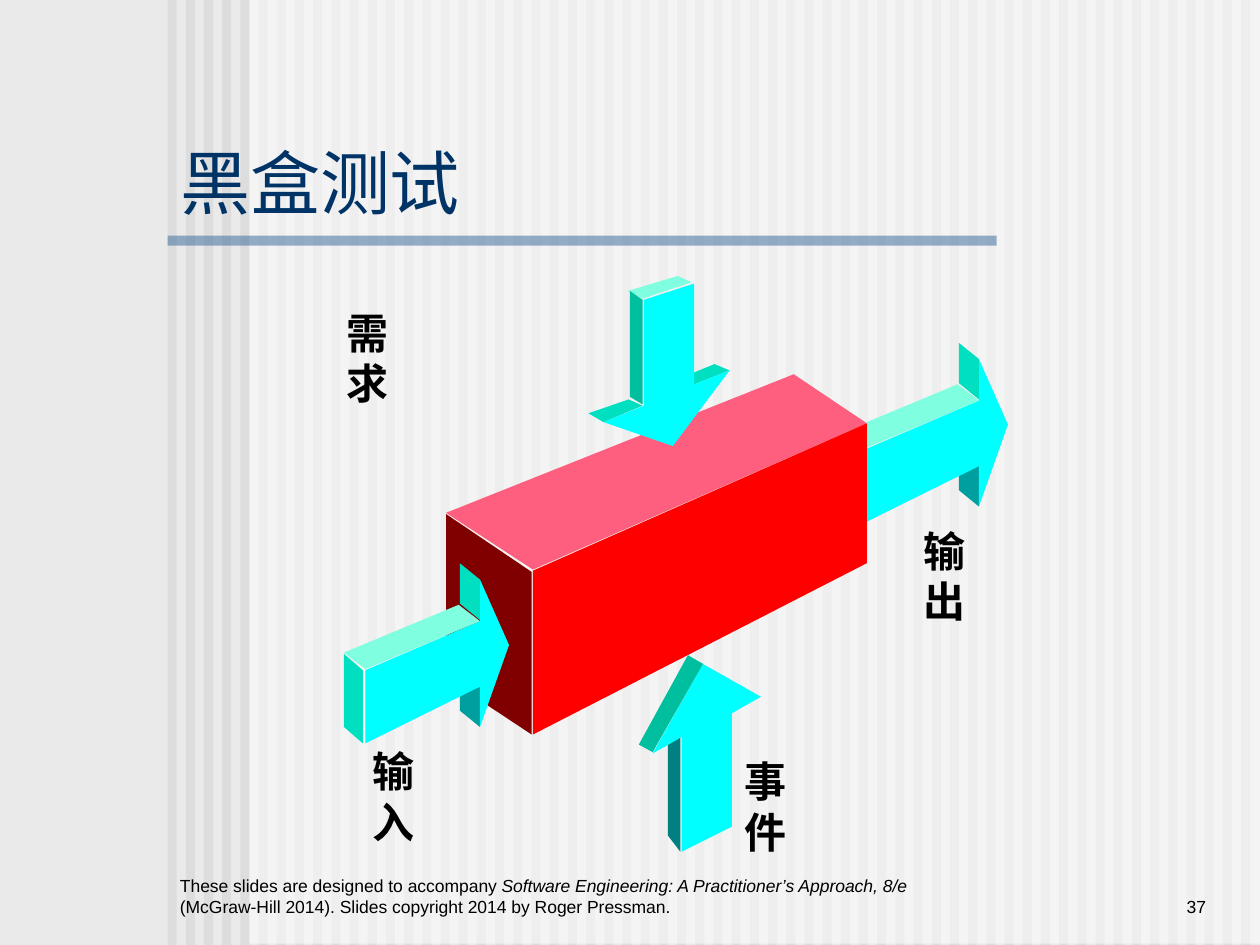
from pptx import Presentation
from pptx.dml.color import RGBColor as RGB
from pptx.enum.shapes import MSO_SHAPE as Shape
from pptx.enum.text import MSO_ANCHOR as Anchor, MSO_AUTO_SIZE as Fit, PP_ALIGN as Align
from pptx.oxml.ns import qn
from pptx.util import Inches, Pt
from lxml.etree import SubElement

UNIT = Inches(0.01)  # the grid: 1000 columns by 750 rows
COLS, ROWS = 1000, 750
FONT = "Arial"

PAPER, STRIPE = RGB(0xEA, 0xEA, 0xEA), RGB(0xDD, 0xDD, 0xDD)
WHITE, BLACK = RGB(0xFF, 0xFF, 0xFF), RGB(0, 0, 0)
NAVY, BLUE = RGB(0, 0x33, 0x66), RGB(0x33, 0x66, 0x99)
CYAN, PALE, MINT = RGB(0, 0xFF, 0xFF), RGB(0x7F, 0xFF, 0xDF), RGB(0, 0xDF, 0xBF)
GREEN, TEAL, DEEP = RGB(0, 0xBF, 0x9F), RGB(0, 0x9F, 0x9F), RGB(0, 0x80, 0x80)
RED, PINK, MAROON = RGB(0xFF, 0, 0), RGB(0xFF, 0x5F, 0x7F), RGB(0x80, 0, 0)

# Faces of each solid, back to front, as corner points on the grid
SIDE = [
    (TEAL, [(777, 402), (777, 370), (761, 357), (761, 389)]),
    (CYAN, [(777, 318), (686, 357), (686, 415), (777, 370), (777, 402),
            (800, 337), (777, 285)]),
    (MINT, [(684, 357), (684, 415), (669, 402), (669, 344)]),
    (PALE, [(669, 343), (686, 356), (777, 318), (760, 305)]),
    (MINT, [(777, 285), (761, 272), (761, 304), (777, 317)]),
]
UP = [
    (DEEP, [(540, 676), (540, 586), (530, 579), (530, 663)]),
    (CYAN, [(558, 527), (604, 553), (581, 566), (581, 656), (541, 676),
            (541, 585), (518, 598)]),
    (GREEN, [(518, 597), (507, 591), (546, 520), (558, 527)]),
]
BOX = [
    (MAROON, [(354, 408), (422, 454), (422, 583), (354, 538)]),
    (PINK, [(354, 407), (423, 452), (688, 336), (630, 297)]),
    (RED, [(423, 453), (423, 583), (688, 447), (688, 336)]),
]
DOWN = [
    (PALE, [(498, 231), (510, 237), (549, 224), (538, 219)]),
    (MINT, [(551, 305), (579, 294), (567, 289), (540, 300)]),
    (CYAN, [(511, 238), (551, 225), (551, 305), (579, 294), (534, 354),
            (479, 335), (511, 322)]),
    (MINT, [(479, 335), (467, 328), (499, 317), (510, 322)]),
    (GREEN, [(500, 315), (510, 321), (510, 238), (500, 231)]),
]
LABELS = [("需求", 265, 239), ("事件", 581, 595), ("输入", 286, 587), ("输出", 723, 412)]


def paint(shape, color, alpha=None):
    shape.shadow.inherit = False
    shape.line.fill.background()
    shape.fill.solid()
    shape.fill.fore_color.rgb = color
    if alpha:
        tone = shape.fill._xPr.find(qn("a:solidFill"))[0]
        SubElement(tone, qn("a:alpha"), val=str(alpha * 1000))


def bar(slide, x, y, w, h, color, alpha=None):
    box = [round(v * UNIT) for v in (x, y, w, h)]
    paint(slide.shapes.add_shape(Shape.RECTANGLE, *box), color, alpha)


def solid(slide, faces, dx=0, dy=0):
    for color, points in faces:
        first, *rest = [(x + dx, y + dy) for x, y in points]
        pen = slide.shapes.build_freeform(*first, scale=UNIT)
        pen.add_line_segments(rest, close=True)
        paint(pen.convert_to_shape(), color)


def style(par, size, color, bold=False, align=Align.LEFT):
    par.alignment = align
    font = par.font
    font.name, font.size, font.bold = FONT, Pt(size), bold
    font.color.rgb = color


def text(slide, x, y, w, h, parts, size, anchor=Anchor.TOP, wrap=True, **look):
    """Write parts in turn, every second one in italics."""
    box = slide.shapes.add_textbox(x * UNIT, y * UNIT, w * UNIT, h * UNIT)
    frame = box.text_frame
    frame.word_wrap, frame.vertical_anchor = wrap, anchor
    par = frame.paragraphs[0]
    for i, part in enumerate(parts):
        run = par.add_run()
        run.text = part
        if i % 2:
            run.font.italic = True
    style(par, size, BLACK, **look)


def backdrop(slide):
    slide.background.fill.solid()
    slide.background.fill.fore_color.rgb = PAPER
    count, first, last = 60, 133, 985
    step = (last - first) / (count - 1)
    for i in range(count):
        bar(slide, first + i * step, 0, step / 2, ROWS, STRIPE)
    bar(slide, 198, -1, COLS - 198, ROWS, WHITE, 50)
    bar(slide, 133, 187, 658, 8, BLUE, 50)


def heading(slide, words):
    title = slide.shapes.title
    title.left, title.top = 133 * UNIT, 117 * UNIT
    title.width, title.height = 568 * UNIT, 54 * UNIT
    frame = title.text_frame
    frame.text = words
    frame.auto_size, frame.vertical_anchor = Fit.NONE, Anchor.MIDDLE
    style(frame.paragraphs[0], 40, NAVY)
    slide.shapes._spTree.append(title._element)  # in front of the backdrop


def main():
    deck = Presentation()
    deck.slide_width, deck.slide_height = COLS * UNIT, ROWS * UNIT
    slide = deck.slides.add_slide(deck.slide_layouts[5])
    backdrop(slide)
    heading(slide, "黑盒测试")

    # Footer and page number
    text(slide, 133, 683, 600, 50,
         ["These slides are designed to accompany ",
          "Software Engineering: A Practitioner’s Approach, 8/e ",
          "(McGraw-Hill 2014). Slides copyright 2014 by Roger Pressman."],
         10, Anchor.BOTTOM)
    text(slide, 825, 683, 142, 50, ["37"], 10, Anchor.BOTTOM, align=Align.RIGHT)

    # Box with its arrows; input repeats the output arrow lower left
    solid(slide, SIDE)
    solid(slide, UP)
    solid(slide, BOX)
    solid(slide, DOWN)
    solid(slide, SIDE, -396, 175)

    for word, x, y in LABELS:
        text(slide, x, y, 86, 50, [word], 24, wrap=False, bold=True)
    deck.save("out.pptx")


if __name__ == "__main__":
    main()
